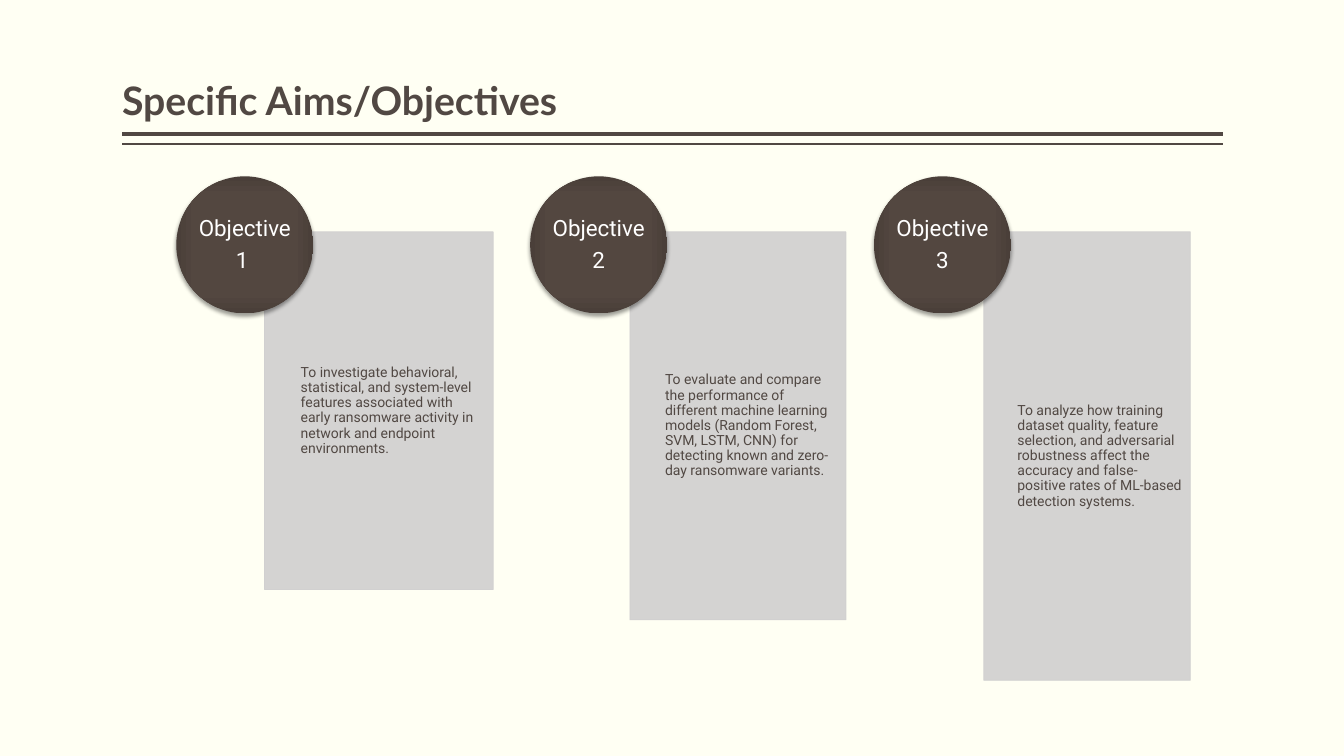
from dataclasses import dataclass

import lxml.etree
import pptx
import pptx.dml.color
import pptx.enum.shapes
import pptx.enum.text
import pptx.oxml.ns
import pptx.shapes.autoshape
import pptx.slide
import pptx.text.text
import pptx.util

SLIDE_WIDTH = pptx.util.Inches(13.333)
SLIDE_HEIGHT = pptx.util.Inches(7.5)
SHAPE = pptx.enum.shapes.MSO_SHAPE
ANCHOR = pptx.enum.text.MSO_ANCHOR
ALIGN = pptx.enum.text.PP_ALIGN


@dataclass(frozen=True)
class Theme:
    background: str = "FFFFF3"
    ink: str = "514843"
    panel: str = "D0CFCF"
    badge_text: str = "FFFFFF"
    badge_gradient: tuple = ((0, "544740"), (71, "534740"), (100, "4A3F39"))
    shadow: str = "000000"
    heading_font: str = "Lato"
    body_font: str = "Roboto"
    heading_size: float = 28
    badge_size: float = 16
    body_size: float = 10


@dataclass(frozen=True)
class Objective:
    """One objective; lengths are percentages of the slide's width or height."""
    number: str
    aim: str
    badge_left: float
    panel_left: float
    panel_width: float
    panel_height: float
    indent: float


THEME = Theme()
MARGIN, CONTENT_WIDTH = 9.08, 81.9
TITLE_TOP, TITLE_HEIGHT = 1.07, 16
RULES = ((17.73, 3), (19.07, 1))
BADGE_TOP, BADGE_WIDTH = 23.33, 10.2
PANEL_TOP = 30.67

OBJECTIVES = (
    Objective("1 ", "To investigate behavioral, statistical, and system-level features "
              "associated with early ransomware activity in network and endpoint "
              "environments.", 13.12, 19.68, 17.02, 47.33, 2.7),
    Objective("2", "To evaluate and compare the performance of different machine learning "
              "models (Random Forest, SVM, LSTM, CNN) for detecting known and zero-day "
              "ransomware variants.", 39.45, 46.87, 16.08, 51.33, 2.62),
    Objective("3", "To analyze how training dataset quality, feature selection, and "
              "adversarial robustness affect the accuracy and false-positive rates of "
              "ML-based detection systems.", 65.03, 73.2, 15.37, 59.33, 2.5),
)


def across(percent: float) -> int:
    return round(SLIDE_WIDTH * percent / 100)


def down(percent: float) -> int:
    return round(SLIDE_HEIGHT * percent / 100)


def rgb(value: str) -> pptx.dml.color.RGBColor:
    return pptx.dml.color.RGBColor.from_string(value)


def add_xml(parent, tag: str, **attributes):
    child = lxml.etree.SubElement(parent, pptx.oxml.ns.qn(f"a:{tag}"))
    for key, value in attributes.items():
        child.set(key, str(value))
    return child


def write(frame: pptx.text.text.TextFrame, *lines: str, size: float, color: str,
          font: str = THEME.body_font, bold: bool = False, align=ALIGN.LEFT,
          anchor=ANCHOR.MIDDLE, margins: tuple = (0, 0, 0, 0), space_after: float = 0) -> None:
    """Fill a frame, one paragraph per line; margins run left, top, right, bottom."""
    frame.word_wrap = True
    frame.auto_size = pptx.enum.text.MSO_AUTO_SIZE.NONE
    frame.vertical_anchor = anchor
    (frame.margin_left, frame.margin_top,
     frame.margin_right, frame.margin_bottom) = margins
    frame.text = "\n".join(lines)
    for paragraph in frame.paragraphs:
        paragraph.alignment = align
        paragraph.line_spacing = 0.9
        paragraph.space_before = pptx.util.Pt(0)
        paragraph.space_after = pptx.util.Pt(space_after)
        for run in paragraph.runs:
            run.font.name = font
            run.font.size = pptx.util.Pt(size)
            run.font.bold = bold
            run.font.color.rgb = rgb(color)


def add_rule(slide: pptx.slide.Slide, top: float, weight: float) -> None:
    rule = slide.shapes.add_connector(
        pptx.enum.shapes.MSO_CONNECTOR.STRAIGHT,
        across(MARGIN), down(top), across(MARGIN + CONTENT_WIDTH), down(top))
    rule.line.color.rgb = rgb(THEME.ink)
    rule.line.width = pptx.util.Pt(weight)
    add_xml(rule.element.spPr, "effectLst")


def add_title(slide: pptx.slide.Slide, heading: str) -> None:
    title = slide.shapes.title
    title.left, title.top = across(MARGIN), down(TITLE_TOP)
    title.width, title.height = across(CONTENT_WIDTH), down(TITLE_HEIGHT)
    padding = pptx.util.Inches(0.05)
    write(title.text_frame, heading, size=THEME.heading_size, color=THEME.ink,
          font=THEME.heading_font, bold=True, anchor=ANCHOR.BOTTOM,
          margins=(0, padding, 0, padding))


def add_panel(slide: pptx.slide.Slide, objective: Objective) -> None:
    panel = slide.shapes.add_shape(
        SHAPE.RECTANGLE, across(objective.panel_left), down(PANEL_TOP),
        across(objective.panel_width), down(objective.panel_height))
    panel.shadow.inherit = False
    panel.fill.solid()
    panel.fill.fore_color.rgb = rgb(THEME.panel)
    panel.line.color.rgb = rgb(THEME.panel)
    panel.line.width = pptx.util.Pt(0.5)
    for color in panel.element.spPr.iter(pptx.oxml.ns.qn("a:srgbClr")):
        add_xml(color, "alpha", val=90000)
    padding = pptx.util.Inches(0.08)
    write(panel.text_frame, objective.aim, size=THEME.body_size, color=THEME.ink,
          margins=(across(objective.indent), padding, padding, padding), space_after=3.5)


def shade_badge(badge: pptx.shapes.autoshape.Shape) -> None:
    """Give the badge a gradient from its centre and a soft shadow below."""
    properties = badge.element.spPr
    badge.fill.background()
    plain = properties.find(pptx.oxml.ns.qn("a:noFill"))
    gradient = add_xml(properties, "gradFill", rotWithShape=1)
    properties.replace(plain, gradient)
    stops = add_xml(gradient, "gsLst")
    for position, color in THEME.badge_gradient:
        add_xml(add_xml(stops, "gs", pos=position * 1000), "srgbClr", val=color)
    centre = add_xml(gradient, "path", path="rect")
    add_xml(centre, "fillToRect", l=50000, t=50000, r=50000, b=50000)

    badge.shadow.inherit = False
    effects = properties.find(pptx.oxml.ns.qn("a:effectLst"))
    shadow = add_xml(effects, "outerShdw", blurRad=pptx.util.Pt(3.1), dist=pptx.util.Pt(2),
                     dir=90 * 60000, algn="ctr", rotWithShape=0)
    add_xml(add_xml(shadow, "srgbClr", val=THEME.shadow), "alpha", val=38000)


def add_badge(slide: pptx.slide.Slide, objective: Objective) -> None:
    diameter = across(BADGE_WIDTH)
    badge = slide.shapes.add_shape(
        SHAPE.OVAL, across(objective.badge_left), down(BADGE_TOP), diameter, diameter)
    badge.line.fill.background()
    shade_badge(badge)
    write(badge.text_frame, "Objective", objective.number, size=THEME.badge_size,
          color=THEME.badge_text, align=ALIGN.CENTER, space_after=5.6)


def main() -> None:
    deck = pptx.Presentation()
    deck.slide_width, deck.slide_height = SLIDE_WIDTH, SLIDE_HEIGHT
    slide = deck.slides.add_slide(deck.slide_layouts.get_by_name("Title Only"))
    slide.background.fill.solid()
    slide.background.fill.fore_color.rgb = rgb(THEME.background)
    for top, weight in RULES:
        add_rule(slide, top, weight)
    add_title(slide, "Specific Aims/Objectives")
    for objective in OBJECTIVES:
        add_panel(slide, objective)
        add_badge(slide, objective)
    deck.save("out.pptx")


if __name__ == "__main__":
    main()
